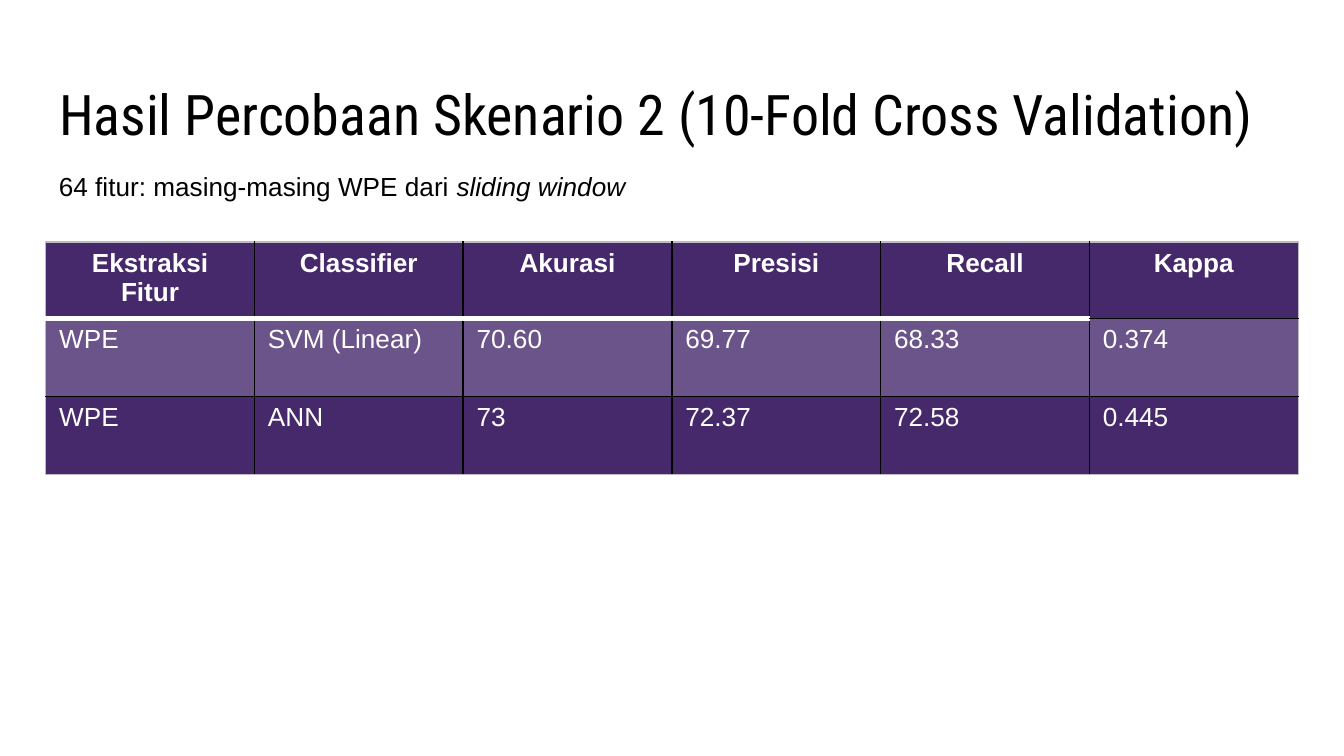
"""Build a slide with a table of classifier results."""
from lxml.etree import SubElement
from pptx import Presentation
from pptx.dml.color import RGBColor
from pptx.enum.text import MSO_ANCHOR, MSO_AUTO_SIZE, PP_ALIGN
from pptx.oxml.ns import qn
from pptx.util import Pt

TITLE = "Hasil Percobaan Skenario 2 (10-Fold Cross Validation)"
NOTE = [("64 fitur: masing-masing WPE dari ", False), ("sliding window", True)]
ROWS = [
    ("Ekstraksi Fitur", "Classifier", "Akurasi", "Presisi", "Recall", "Kappa"),
    ("WPE", "SVM (Linear)", "70.60", "69.77", "68.33", "0.374"),
    ("WPE", "ANN", "73", "72.37", "72.58", "0.445"),
]
HEX = {"ink": "000000", "white": "FFFFFF", "dark": "46296B",
       "band": "6B5489", "edge": "BDBAC2"}
FILLS = ["dark", "band", "dark"]
HIGHS = [41, 41.8, 41.8]
LEFT, WIDE = 24.5, 671


def style(font, size, color, name="Arial", bold=False):
    font.size, font.name, font.bold = Pt(size), name, bold
    font.color.rgb = RGBColor.from_string(HEX[color])


def border(cell, side, color, width):
    line = SubElement(cell._tc.get_or_add_tcPr(), qn("a:ln" + side), w=str(Pt(width)))
    fill = SubElement(line, qn("a:solidFill"))
    SubElement(fill, qn("a:srgbClr"), val=HEX[color])


def add_title(slide):
    title = slide.shapes.title
    title.left, title.top, title.width, title.height = map(Pt, (LEFT, 35.3, WIDE, 45.4))
    frame = title.text_frame
    frame.text = TITLE
    frame.auto_size, frame.word_wrap = MSO_AUTO_SIZE.NONE, True
    frame.vertical_anchor = MSO_ANCHOR.TOP
    frame.margin_left = frame.margin_right = Pt(7.2)
    frame.margin_top = frame.margin_bottom = Pt(7.2)
    para = frame.paragraphs[0]
    para.alignment = PP_ALIGN.LEFT
    style(para.font, 30, "ink", "Roboto Condensed")


def add_note(slide):
    box = slide.shapes.add_textbox(*map(Pt, (LEFT, 87.8, 319.7, 24.5)))
    frame = box.text_frame
    frame.word_wrap, frame.auto_size = False, MSO_AUTO_SIZE.SHAPE_TO_FIT_TEXT
    para = frame.paragraphs[0]
    style(para.font, 14, "ink")
    for text, slant in NOTE:
        run = para.add_run()
        run.text, run.font.italic = text, slant


def add_grid(slide):
    count, last = len(ROWS[0]), len(ROWS) - 1
    frame = slide.shapes.add_table(
        len(ROWS), count, *map(Pt, (LEFT, 129.6, WIDE, sum(HIGHS))))
    table = frame.table
    table.first_row = table.horz_banding = False
    props = table._tbl.tblPr
    props.remove(props.find(qn("a:tableStyleId")))
    for col in table.columns:
        col.width = Pt(WIDE / count)
    for row, texts in enumerate(ROWS):
        table.rows[row].height = Pt(HIGHS[row])
        head = row == 0
        for col, text in enumerate(texts):
            cell = table.cell(row, col)
            cell.text = text
            para = cell.text_frame.paragraphs[0]
            para.alignment = PP_ALIGN.CENTER if head else PP_ALIGN.LEFT
            style(para.font, 14, "white", bold=head)
            end = col == count - 1
            for side, shown in (("L", col == 0), ("R", end),
                                ("T", head), ("B", row == last)):
                if shown:
                    border(cell, side, "edge", 0.75)
            if head and not end:
                border(cell, "B", "white", 3)
            cell.fill.solid()
            cell.fill.fore_color.rgb = RGBColor.from_string(HEX[FILLS[row]])


def main():
    deck = Presentation()
    deck.slide_width, deck.slide_height = Pt(720), Pt(405)
    slide = deck.slides.add_slide(deck.slide_layouts[5])
    add_title(slide)
    add_grid(slide)
    add_note(slide)
    deck.save("out.pptx")


if __name__ == "__main__":
    main()
